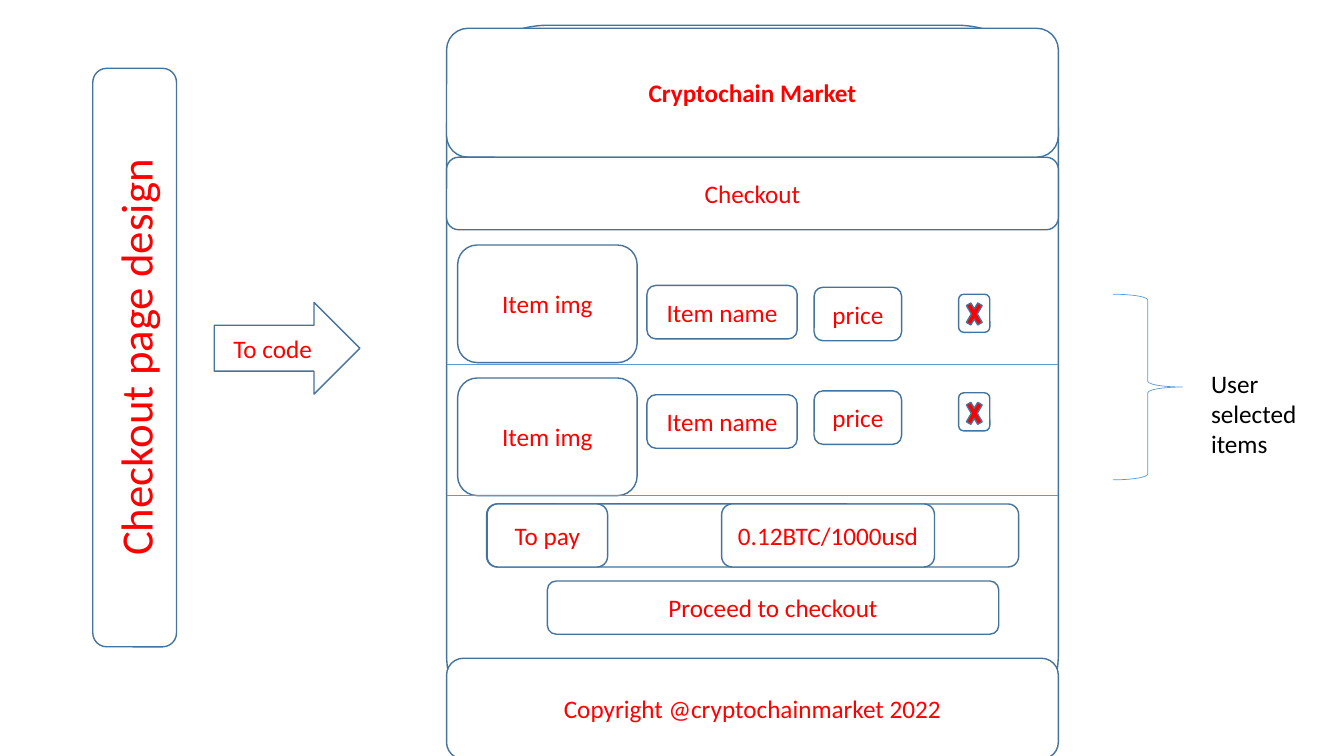
from pptx import Presentation
from pptx.dml.color import RGBColor
from pptx.enum.shapes import MSO_CONNECTOR, MSO_SHAPE as SHAPE
from pptx.enum.text import MSO_ANCHOR, MSO_AUTO_SIZE, PP_ALIGN
from pptx.oxml.ns import qn
from pptx.util import Pt

COLORS = {"paper": "FFFFFF", "outline": "43739E", "rule": "5B9BD5",
          "label": "FF0000", "note": "000000"}


def add_run(paragraph, text, size, color, bold=False):
    run = paragraph.add_run()
    run.text = text
    run.font.name = "Calibri"
    run.font.size = Pt(size)
    run.font.bold = bold
    run.font.color.rgb = RGBColor.from_string(COLORS[color])


def add_box(left, top, width, height, label="", kind=SHAPE.ROUNDED_RECTANGLE,
            fill="paper", size=18, bold=False):
    box = slide.shapes.add_shape(kind, Pt(left), Pt(top), Pt(width), Pt(height))
    box.shadow.inherit = False
    box.fill.solid()
    box.fill.fore_color.rgb = RGBColor.from_string(COLORS[fill])
    box.line.color.rgb = RGBColor.from_string(COLORS["outline"])
    box.line.width = Pt(1)
    if label:
        box.text_frame.vertical_anchor = MSO_ANCHOR.MIDDLE
        paragraph = box.text_frame.paragraphs[0]
        paragraph.alignment = PP_ALIGN.CENTER
        add_run(paragraph, label, size, "label", bold)
    return box


deck = Presentation()
deck.slide_width, deck.slide_height = Pt(960), Pt(540)
slide = deck.slides.add_slide(deck.slide_layouts[6])

# Page frame with footer, header and title bar
page_left, page_width = 319, 437
add_box(page_left, 18, page_width, 522)
add_box(page_left, 470.2, page_width, 72, "Copyright @cryptochainmarket 2022")
add_box(page_left, 20.2, page_width, 92.1, "Cryptochain Market", bold=True)
add_box(page_left, 112.3, page_width, 51.8, "Checkout")

# Selected items: tops of image, name, price, remove box, cross and divider
item_rows = [
    (175, 203.9, 205.2, 210.2, 211, 260.2),
    (270, 282, 279.2, 280.6, 282, 354),
]
for image_top, name_top, price_top, remove_top, cross_top, divider_y in item_rows:
    add_box(326.9, image_top, 128.2, 84, "Item img")
    add_box(462.1, name_top, 107.3, 38.2, "Item name")
    add_box(581.5, price_top, 62.5, 38.2, "price")
    add_box(684.7, remove_top, 22.3, 27.2)
    add_box(688.2, cross_top, 15.5, 26.6, kind=SHAPE.MATH_MULTIPLY, fill="label")

    divider = slide.shapes.add_connector(
        MSO_CONNECTOR.STRAIGHT, Pt(page_left), Pt(divider_y),
        Pt(page_left + page_width), Pt(divider_y))
    divider.line.color.rgb = RGBColor.from_string(COLORS["rule"])
    divider.line.width = Pt(0.5)
    properties = divider._element.spPr
    properties.append(properties.makeelement(qn("a:effectLst"), {}))

# Payment bar and checkout button
pay_top, pay_height = 360, 45
add_box(347.6, pay_top, 380, pay_height)
add_box(348, pay_top, 86, pay_height, "To pay")
add_box(515.5, pay_top, 152, pay_height, "0.12BTC/1000usd")
add_box(391, 415, 322.4, 38, "Proceed to checkout")

# Vertical heading and arrow towards the page
heading = add_box(-110.4, 225.5, 413.2, 59.8, "Checkout page design", size=32)
heading.rotation = 270
add_box(153, 216, 104, 65.5, "To code ", kind=SHAPE.RIGHT_ARROW)

# Brace and note beside the selected items
brace = slide.shapes.add_shape(SHAPE.RIGHT_BRACE, Pt(795), Pt(210.2), Pt(49.7), Pt(132.6))
brace.shadow.inherit = False
brace.fill.background()
brace.line.color.rgb = RGBColor.from_string(COLORS["rule"])
brace.line.width = Pt(0.5)

note = slide.shapes.add_textbox(Pt(858), Pt(259.2), Pt(79.2), Pt(72.7)).text_frame
note.word_wrap = True
note.auto_size = MSO_AUTO_SIZE.SHAPE_TO_FIT_TEXT
add_run(note.paragraphs[0], "User selected items", 18, "note")

deck.save("out.pptx")
